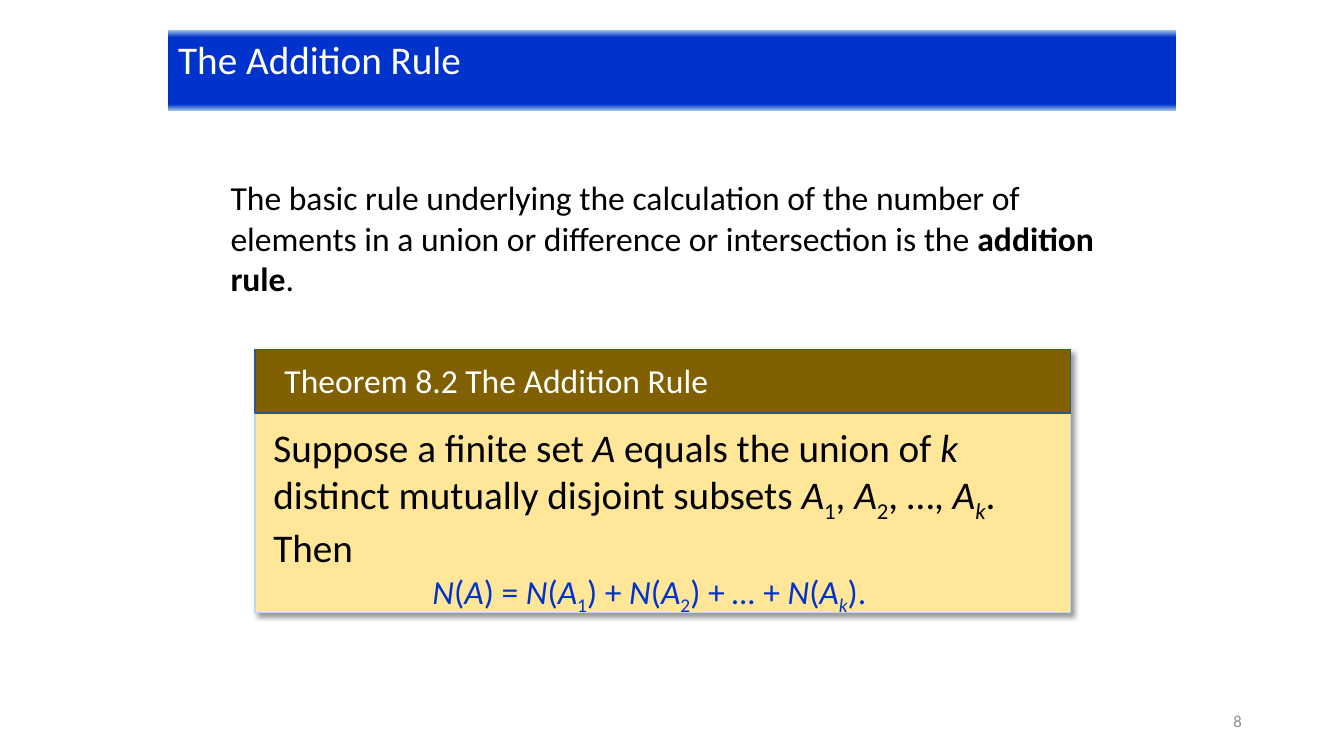
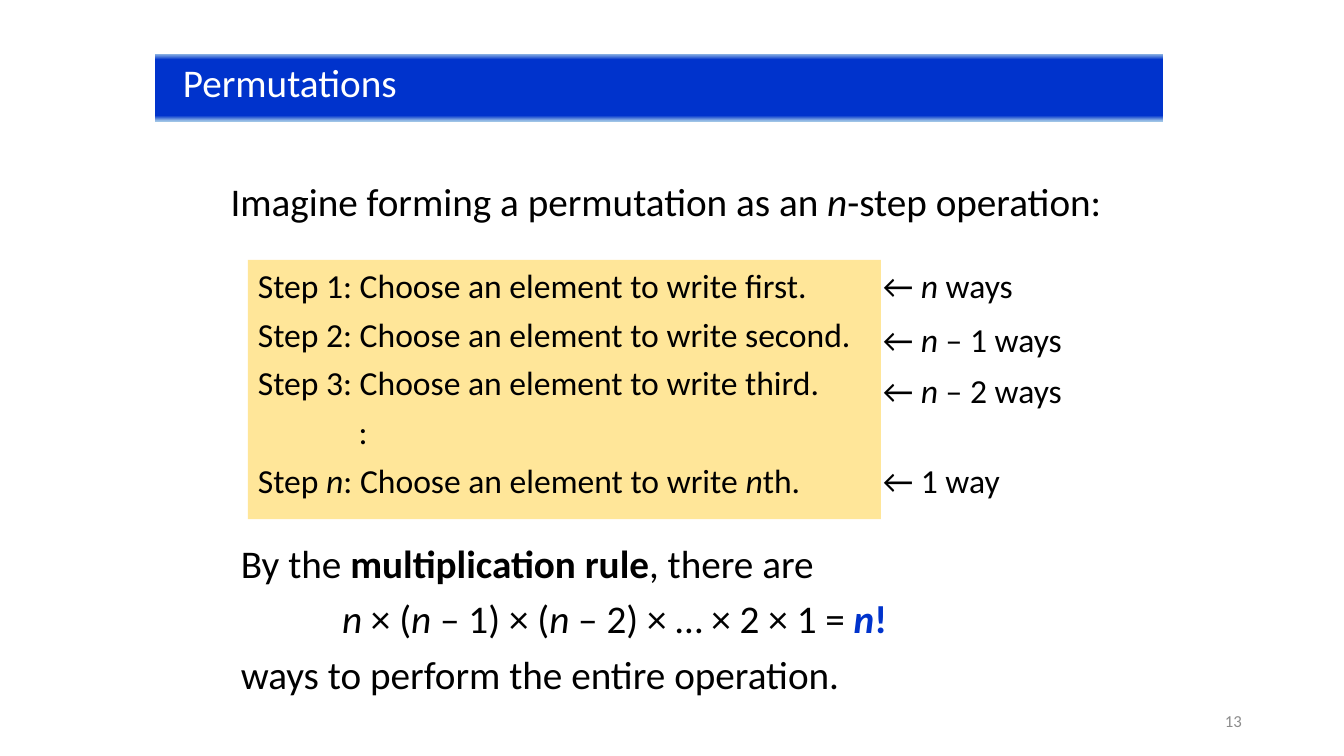
"""Build two slides on the addition rule and on permutations."""
import copy
import dataclasses

import lxml.etree
import pptx
import pptx.dml.color
import pptx.enum.shapes
import pptx.enum.text
import pptx.oxml.ns
import pptx.util

Cm = pptx.util.Cm
Pt = pptx.util.Pt
ALIGN = pptx.enum.text.PP_ALIGN
ANCHOR = pptx.enum.text.MSO_ANCHOR
MARKS = {"*": "bold", "_": "italic", "~": "subscript", "#": "accent"}


@dataclasses.dataclass(frozen=True)
class Theme:
    """Colours, type sizes and gradient stops that the slides share."""
    font: str = "Calibri"
    large: int = 28
    medium: int = 24
    small: int = 12
    ink: str = "000000"
    paper: str = "FFFFFF"
    accent: str = "0033CC"
    muted: str = "8C8C8C"
    panel: str = "FFE699"
    panel_line: str = "BDD7EE"
    header: str = "806000"
    header_line: str = "325491"
    band: tuple = ((0, "9DC3E6"), (0.09, "0033CC"), (0.92, "0033CC"), (1, "9DC3E6"))


THEME = Theme()


@dataclasses.dataclass(frozen=True)
class Line:
    """One paragraph of marked text with its format."""
    text: str
    size: int = THEME.medium
    color: str = THEME.ink
    before: int = 0
    after: int = 0
    indent: float = 0
    align: int = ALIGN.LEFT


def rgb(color):
    """Turn a hex string into a colour."""
    return pptx.dml.color.RGBColor.from_string(color)


def set_values(target, values):
    """Set the attributes of an object from a dict."""
    for name, value in values.items():
        setattr(target, name, value)


def marked_spans(text):
    """Yield pieces of text with the styles that their marks switch on."""
    active, piece = frozenset(), ""
    for char in text:
        if char in MARKS:
            if piece:
                yield piece, active
            active, piece = active ^ {MARKS[char]}, ""
        else:
            piece += char
    if piece:
        yield piece, active


def write_para(para, line):
    """Write one line into a paragraph."""
    set_values(para, {
        "alignment": line.align,
        "space_before": Pt(line.before),
        "space_after": Pt(line.after),
    })
    if line.indent:
        properties = para._p.get_or_add_pPr()
        properties.set("marL", str(Cm(line.indent)))
        properties.set("indent", "0")
    for text, styles in marked_spans(line.text):
        span = para.add_run()
        span.text = text
        set_values(span.font, {
            "name": THEME.font,
            "size": Pt(line.size),
            "bold": "bold" in styles,
            "italic": "italic" in styles,
        })
        span.font.color.rgb = rgb(THEME.accent if "accent" in styles else line.color)
        if "subscript" in styles:
            span._r.get_or_add_rPr().set("baseline", "-25000")


def write_lines(box, lines, anchor=ANCHOR.TOP, **margins):
    """Fill a box with lines, with margins in centimetres."""
    frame = box.text_frame
    set_values(frame, {
        "word_wrap": True,
        "auto_size": pptx.enum.text.MSO_AUTO_SIZE.NONE,
        "vertical_anchor": anchor,
    })
    set_values(frame, {f"margin_{side}": Cm(size) for side, size in margins.items()})
    for index, line in enumerate(lines):
        write_para(frame.add_paragraph() if index else frame.paragraphs[0], line)


def add_text(page, place, lines, **options):
    """Add a text box at a place in centimetres."""
    box = page.shapes.add_textbox(*map(Cm, place))
    write_lines(box, lines, **options)


def add_panel(shapes, place, fill, lines, outline=None, **options):
    """Add a filled rectangle that holds text."""
    panel = shapes.add_shape(pptx.enum.shapes.MSO_SHAPE.RECTANGLE, *map(Cm, place))
    panel.shadow.inherit = False
    panel.fill.solid()
    panel.fill.fore_color.rgb = rgb(fill)
    if outline:
        panel.line.color.rgb = rgb(outline)
        panel.line.width = Pt(1)
    else:
        panel.line.fill.background()
    write_lines(panel, lines, **options)
    return panel


def cast_shadow(shape):
    """Give a shape a soft shadow to the lower right."""
    qn = pptx.oxml.ns.qn
    effects = shape._element.spPr.find(qn("a:effectLst"))
    shadow = lxml.etree.SubElement(effects, qn("a:outerShdw"), {
        "blurRad": str(Pt(4)), "dist": str(Pt(3)), "dir": "2700000",
        "algn": "tl", "rotWithShape": "0",
    })
    color = lxml.etree.SubElement(shadow, qn("a:srgbClr"), val=THEME.ink)
    lxml.etree.SubElement(color, qn("a:alpha"), val="40000")


def fill_band(shape):
    """Fill a shape with the vertical band gradient."""
    shape.fill.gradient()
    shape.fill.gradient_angle = 270
    stop_list = shape._element.spPr.find(".//" + pptx.oxml.ns.qn("a:gsLst"))
    for stop in list(stop_list):
        stop_list.append(copy.deepcopy(stop))
    for stop, (position, color) in zip(shape.fill.gradient_stops, THEME.band):
        stop.position = position
        stop.color.rgb = rgb(color)


def add_page(deck, title, number, place, left=0.25):
    """Add a slide with its title band and page number."""
    page = deck.slides.add_slide(deck.slide_layouts[5])
    heading = page.shapes.title
    set_values(heading, dict(zip(("left", "top", "width", "height"), map(Cm, place))))
    fill_band(heading)
    write_lines(heading, [Line(title, THEME.large, THEME.paper)], left=left)
    add_text(page, (23.93, 17.65, 7.62, 1.02),
             [Line(number, THEME.small, THEME.muted, align=ALIGN.RIGHT)],
             anchor=ANCHOR.MIDDLE)
    return page


def add_theorem(page, place, header_height, title, lines):
    """Add a grouped theorem panel with a header."""
    group = page.shapes.add_group_shape()
    panel = add_panel(group.shapes, place, THEME.panel, lines, THEME.panel_line,
                      left=0.46, right=0.48, top=header_height + 0.25)
    cast_shadow(panel)
    add_panel(group.shapes, (*place[:3], header_height), THEME.header,
              [Line(title, color=THEME.paper)], THEME.header_line,
              left=0.74, top=0.25)


def build_addition_rule(deck):
    """Build the slide on the addition rule."""
    page = add_page(deck, "The Addition Rule", "8", (4.24, 0.76, 25.4, 2.03))
    add_text(page, (5.56, 4.34, 22.86, 3.8), [Line(
        "The basic rule underlying the calculation of the number of elements in a "
        "union or difference or intersection is the *addition rule*.", before=6)])
    add_theorem(page, (6.43, 8.81, 20.55, 6.63), 1.6, "Theorem 8.2 The Addition Rule", [
        Line("Suppose a finite set _A_ equals the union of _k_ distinct mutually "
             "disjoint subsets _A_~1~, _A_~2~, …, _A~k~_. Then", THEME.large),
        Line("_N_(_A_) = _N_(_A_~1~) + _N_(_A_~2~) + _… _+ _N_(_A~k~_).",
             color=THEME.accent, after=6, indent=4.01),
    ])


def build_permutations(deck):
    """Build the slide on counting permutations."""
    page = add_page(deck, "Permutations", "13", (3.91, 1.35, 25.4, 1.7), left=0.7)
    add_text(page, (5.56, 4.34, 22.86, 2.06), [Line(
        "Imagine forming a permutation as an _n_-step operation:", THEME.large, before=6)])
    steps = [Line(f"Step {step}: Choose an element to write {order}.", before=6)
             for step, order in (("1", "first"), ("2", "second"),
                                 ("3", "third"), ("_n_", "_n_th"))]
    steps.insert(3, Line(":", before=6, indent=2.54))
    add_panel(page.shapes, (6.25, 6.55, 15.95, 6.53), THEME.panel, steps)
    for top, ways in ((6.55, "_n_ ways"), (7.9, "_n_ – 1 ways"),
                      (9.19, "_n_ – 2 ways"), (11.46, "1 way")):
        add_text(page, (22, top, 5.46, 1.27), [Line(f"← {ways}")])
    add_text(page, (5.82, 13.46, 22.86, 4.17), [
        Line("By the *multiplication rule*, there are", THEME.large, before=6),
        Line("_n_ × (_n_ – 1) × (_n_ – 2) × … × 2 × 1 = #*_n_!*#", THEME.large,
             before=6, indent=4.01 - 1.46),
        Line("ways to perform the entire operation.", THEME.large, before=6),
    ])


def main():
    """Build and save the deck."""
    deck = pptx.Presentation()
    set_values(deck, {"slide_width": Cm(33.87), "slide_height": Cm(19.05)})
    build_addition_rule(deck)
    build_permutations(deck)
    deck.save("out.pptx")


if __name__ == "__main__":
    main()
